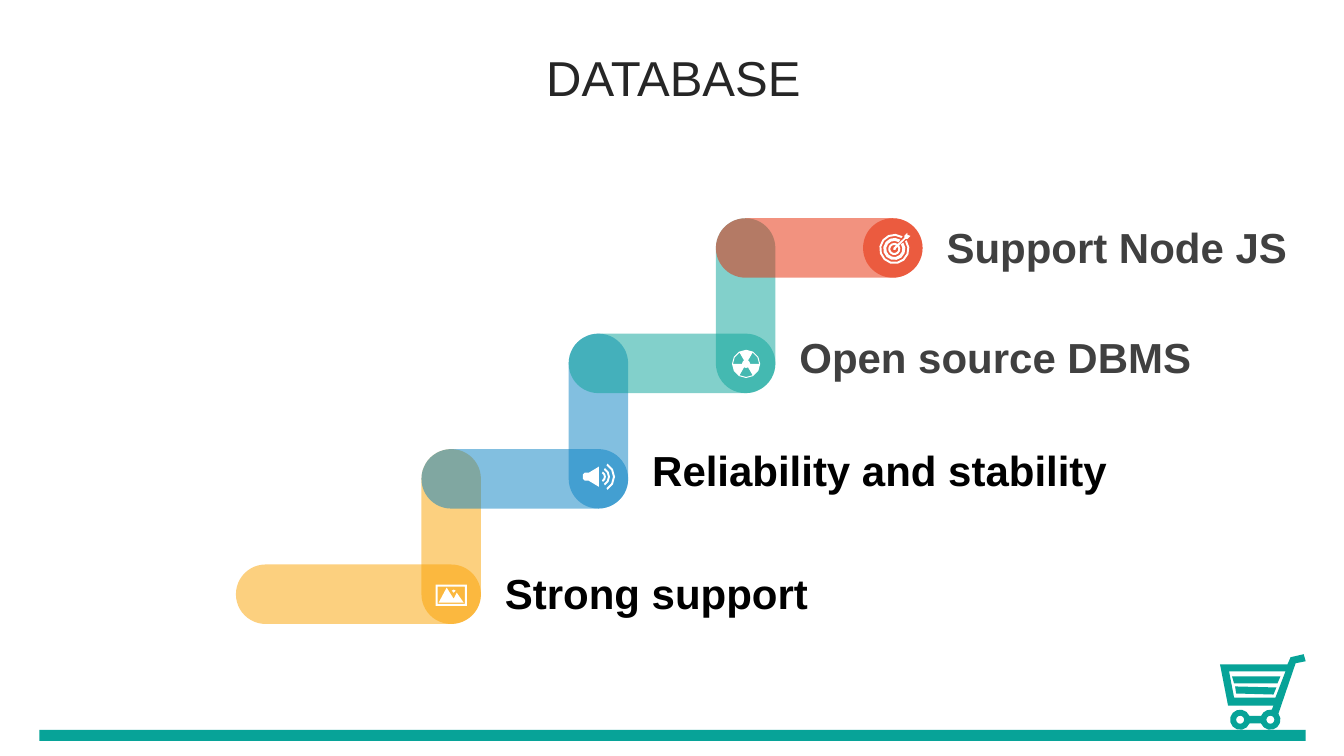
import math

from lxml import etree
from pptx import Presentation
from pptx.dml.color import RGBColor
from pptx.enum import shapes, text
from pptx.oxml import ns
from pptx.util import Inches, Pt

COLORS = {"teal": "07A398", "yellow": "FBA200", "blue": "0680C3", "red": "E62601",
          "white": "FFFFFF", "title": "262626", "grey": "404040", "black": "000000"}
PIPE = 0.59
STEP_X, STEP_Y = 1.46, 1.145
CORNER_X, FLOOR_Y = 4.18, 5.6

# label, label top, label width, label colour, step colour
STEPS = [
    ("Strong support", 5.58, 3.46, "black", "yellow"),
    ("Reliability and stability", 4.36, 4.88, "black", "blue"),
    ("Open source DBMS", 3.24, 4.11, "grey", "teal"),
    ("Support Node JS", 2.15, 3.64, "grey", "red"),
]


def rgb(name):
    return RGBColor.from_string(COLORS[name])


def paint(shape, color, alpha=None):
    """Give a plain fill, with alpha as a percentage, and no line or shadow."""
    shape.shadow.inherit = False
    shape.fill.solid()
    shape.fill.fore_color.rgb = rgb(color)
    shape.line.fill.background()
    if alpha is not None:
        srgb = shape._element.spPr.find(".//" + ns.qn("a:srgbClr"))
        etree.SubElement(srgb, ns.qn("a:alpha"), val=str(alpha * 1000))


def add_block(page, kind, left, top, width, height, color, alpha=None):
    block = page.shapes.add_shape(
        kind, Inches(left), Inches(top), Inches(width), Inches(height))
    paint(block, color, alpha)
    return block


def add_pipe(page, left, top, width, height, color):
    pipe = add_block(page, shapes.MSO_SHAPE.ROUNDED_RECTANGLE,
                     left, top, width, height, color, 50)
    pipe.adjustments[0] = 0.5


def write(box, words, size, color, bold=False, align=text.PP_ALIGN.LEFT):
    frame = box.text_frame
    frame.word_wrap = True
    frame.auto_size = text.MSO_AUTO_SIZE.NONE
    frame.vertical_anchor = text.MSO_ANCHOR.MIDDLE
    para = frame.paragraphs[0]
    para.text = words
    para.alignment = align
    font = para.font
    font.name, font.size, font.bold = "Arial", Pt(size), bold
    font.color.rgb = rgb(color)


def arc(center, radius, start, end):
    """Points along an arc; degrees run clockwise from the right."""
    count = math.ceil(abs(end - start) / 30)
    angles = [math.radians(start + (end - start) * i / count) for i in range(count + 1)]
    return [(center[0] + radius * math.cos(a), center[1] + radius * math.sin(a))
            for a in angles]


def circle(center, radius):
    return arc(center, radius, 0, 330)


def band(center, outer, inner, start, end):
    return arc(center, outer, start, end) + arc(center, inner, end, start)


def rectangle(left, top, right, bottom):
    return [(left, top), (right, top), (right, bottom), (left, bottom)]


def add_icon(page, contours, color="white"):
    """Draw closed contours as one shape; inner contours cut holes."""
    builder = None
    for contour in contours:
        points = [(Inches(x), Inches(y)) for x, y in contour]
        if builder is None:
            builder = page.shapes.build_freeform(*points[0])
        else:
            builder.move_to(*points[0])
        builder.add_line_segments(points[1:], close=True)
    paint(builder.convert_to_shape(), color)


def cart():
    left_wheel, right_wheel = (12.3, 7.14), (12.6, 7.14)
    outline = [(12.93, 6.49), (12.8, 6.52), (12.77, 6.59), (12.1, 6.59),
               (12.18, 7), (12.63, 7), (12.61, 7.05)]
    outline += arc(right_wheel, 0.1, -85, -158)
    outline += arc(left_wheel, 0.1, -22, -338)
    outline += arc(right_wheel, 0.1, 158, -37)
    outline += [(12.85, 6.58), (12.95, 6.56)]
    return [outline,
            [(12.75, 6.66), (12.65, 6.92), (12.24, 6.92), (12.19, 6.66)],
            [(12.22, 6.71), (12.24, 6.78), (12.67, 6.78), (12.7, 6.71)],
            [(12.25, 6.81), (12.26, 6.88), (12.63, 6.89), (12.66, 6.82)],
            circle(left_wheel, 0.04), circle(right_wheel, 0.04)]


def landscape():
    peaks = [(4.43, 5.83), (4.5, 5.94), (4.53, 5.88), (4.6, 5.98), (4.35, 5.98)]
    sun = [(4.5, 5.85), (4.52, 5.86), (4.5, 5.88), (4.48, 5.86)]
    return [rectangle(4.32, 5.8, 4.63, 6.01), rectangle(4.34, 5.82, 4.61, 5.99),
            peaks, sun]


def speaker():
    horn = [(5.94, 4.63), (5.94, 4.83), (5.84, 4.77), (5.8, 4.77), (5.78, 4.75),
            (5.78, 4.71), (5.8, 4.69), (5.84, 4.69)]
    waves = [(0.06, 0.04), (0.1, 0.08), (0.15, 0.13)]
    return [horn] + [band((5.95, 4.73), *radii, -60, 60) for radii in waves]


def trefoil():
    center = (7.4, 3.61)
    gaps = [band(center, 0.13, 0.04, start, start + 60) for start in (-60, 60, 180)]
    return [circle(center, 0.14), *gaps]


def target():
    rings = [(0.15, 0.13), (0.11, 0.08), (0.06, 0.04)]
    arrow = [(9, 2.31), (9, 2.33), (9.03, 2.34), (9, 2.37), (8.98, 2.37), (8.89, 2.46),
             (8.88, 2.48), (8.86, 2.48), (8.86, 2.46), (8.97, 2.36), (8.97, 2.34)]
    return [band((8.87, 2.47), *radii, -35, 303) for radii in rings] + [arrow]


def add_staircase(page):
    for i, (words, label_top, label_width, label_color, color) in enumerate(STEPS):
        corner, floor = CORNER_X + i * STEP_X, FLOOR_Y - i * STEP_Y
        start = corner - STEP_X if i else 2.34
        add_pipe(page, start, floor, corner + PIPE - start, PIPE, color)
        if i < len(STEPS) - 1:
            add_pipe(page, corner, floor - STEP_Y, PIPE, PIPE + STEP_Y, color)
        else:
            add_block(page, shapes.MSO_SHAPE.OVAL, corner, floor, PIPE, PIPE, color, 50)
        label = page.shapes.add_textbox(Inches(corner + 0.73), Inches(label_top),
                                        Inches(label_width), Inches(0.6))
        write(label, words, 30, label_color, bold=True)


def main():
    deck = Presentation()
    deck.slide_width, deck.slide_height = Inches(13.33), Inches(7.5)
    page = deck.slides.add_slide(deck.slide_layouts[5])
    title = page.shapes.title
    title.left, title.top = Inches(0.35), Inches(0.37)
    title.width, title.height = Inches(12.66), Inches(0.79)
    write(title, "DATABASE", 35, "title", align=text.PP_ALIGN.CENTER)
    add_icon(page, cart(), "teal")
    add_block(page, shapes.MSO_SHAPE.RECTANGLE, 0.39, 7.24, 12.56, 0.11, "teal")
    add_staircase(page)
    for icon in (landscape, speaker, trefoil, target):
        add_icon(page, icon())
    deck.save("out.pptx")


if __name__ == "__main__":
    main()
